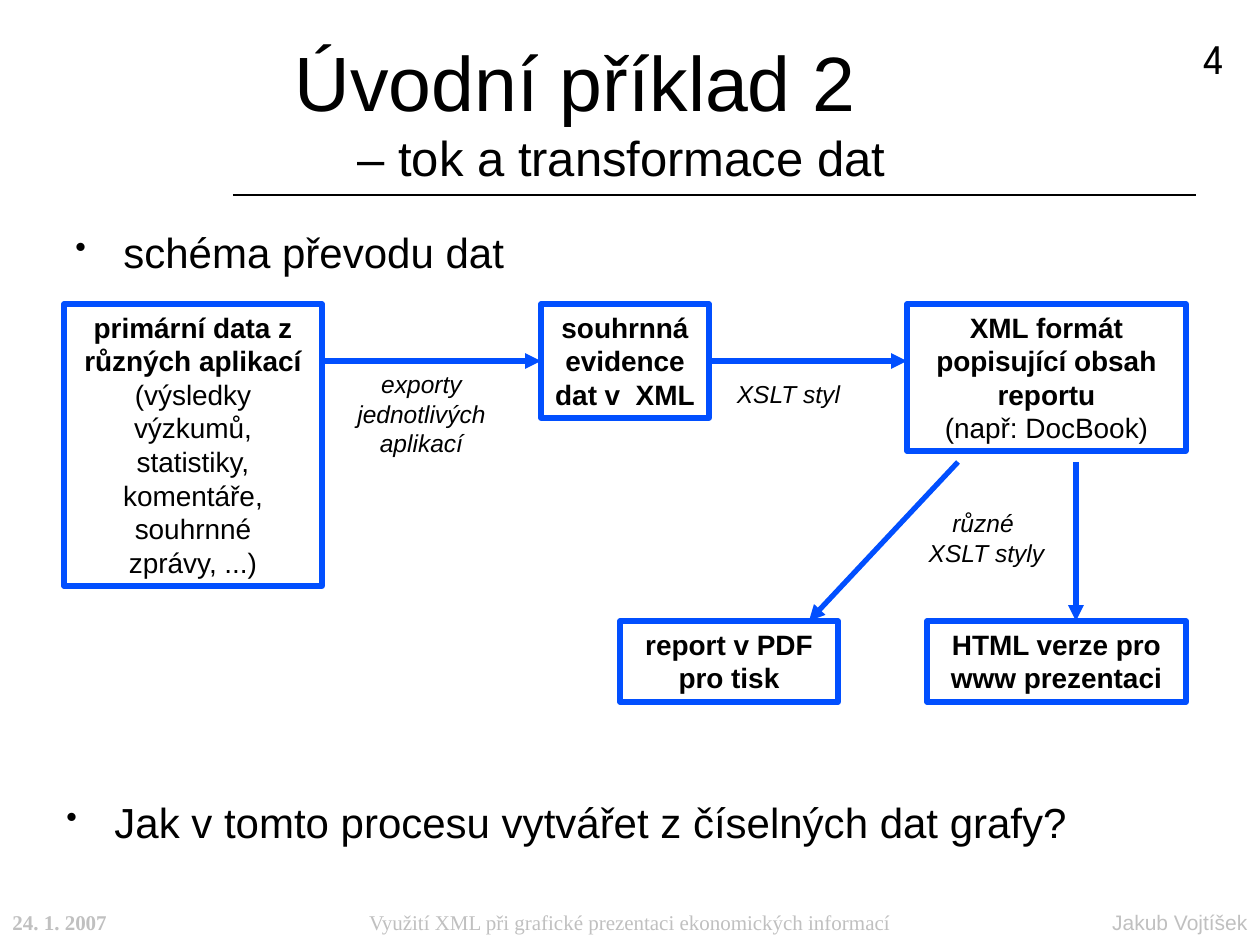
from dataclasses import dataclass

from lxml.etree import SubElement
from pptx import Presentation
from pptx.dml.color import RGBColor
from pptx.enum.shapes import MSO_CONNECTOR, MSO_SHAPE
from pptx.enum.text import MSO_ANCHOR, MSO_AUTO_SIZE, PP_ALIGN
from pptx.oxml.ns import qn
from pptx.util import Emu, Pt


@dataclass(frozen=True)
class Theme:
    ink: RGBColor = RGBColor(0x00, 0x00, 0x00)
    accent: RGBColor = RGBColor(0x01, 0x4F, 0xFF)
    muted: RGBColor = RGBColor(0xC0, 0xC0, 0xC0)
    sans: str = "Arial"
    serif: str = "Times New Roman"
    display: str = "League Spartan"
    title: int = 44
    subtitle: int = 28
    body: int = 24
    box: int = 16
    label: int = 14
    footer: int = 12
    rule: float = 1.19
    stroke: int = 3


theme = Theme()
PX = 914400 / 126


def px(*lengths):
    return [Emu(round(length * PX)) for length in lengths]


def write(frame, text, size=theme.box, font=theme.sans, color=theme.ink, bold=False,
          italic=False, align=PP_ALIGN.LEFT, bullet=False):
    frame.word_wrap = True
    paragraph = frame.paragraphs[0] if not frame.text else frame.add_paragraph()
    paragraph.text = text
    paragraph.alignment = align
    if bullet:
        properties = paragraph._p.get_or_add_pPr()
        indent = px(48)[0]
        properties.set("marL", str(indent))
        properties.set("indent", str(-indent))
        bullet_color = SubElement(properties, qn("a:buClr"))
        SubElement(bullet_color, qn("a:srgbClr"), val=str(color))
        SubElement(properties, qn("a:buSzPct"), val="75000")
        SubElement(properties, qn("a:buChar"), char="•")
    for run in paragraph.runs:
        run.font.size = Pt(size)
        run.font.name = font
        run.font.color.rgb = color
        run.font.bold = bold
        run.font.italic = italic
    return paragraph


prs = Presentation()
prs.slide_width, prs.slide_height = px(1260, 945)
slide = prs.slides.add_slide(prs.slide_layouts[5])
shapes = slide.shapes

heading = shapes.title
heading.left, heading.top, heading.width, heading.height = px(282, 26, 912, 169)
heading.text_frame.auto_size = MSO_AUTO_SIZE.NONE
heading.text_frame.vertical_anchor = MSO_ANCHOR.MIDDLE
heading_lines = write(heading.text_frame, "Úvodní příklad 2\v\t– tok a transformace dat",
                      size=theme.title)
heading_lines.runs[1].font.size = Pt(theme.subtitle)

stages = {}
for stage, place, strong, detail in [
    ("sources", (64, 304, 258, 282), "primární data z různých aplikací",
     "(výsledky výzkumů, statistiky, komentáře, souhrnné zprávy, ...)"),
    ("summary", (541, 304, 168, 114), "souhrnná evidence dat v  XML", None),
    ("content", (907, 304, 279, 147), "XML formát popisující obsah reportu",
     "(např: DocBook)"),
    ("print", (620, 621, 218, 81), "report v PDF pro tisk", None),
    ("web", (927, 621, 259, 81), "HTML verze pro www prezentaci", None),
]:
    box = shapes.add_shape(MSO_SHAPE.RECTANGLE, *px(*place))
    box.shadow.inherit = False
    box.fill.background()
    box.line.color.rgb = theme.accent
    box.line.width = Pt(theme.stroke)
    box.text_frame.vertical_anchor = MSO_ANCHOR.TOP
    box.text_frame.auto_size = MSO_AUTO_SIZE.SHAPE_TO_FIT_TEXT
    write(box.text_frame, strong, bold=True, align=PP_ALIGN.CENTER)
    if detail:
        write(box.text_frame, detail, align=PP_ALIGN.CENTER)
    stages[stage] = box

flows = []
for ends, color, weight, arrow in [
    ((233, 195, 1196, 195), theme.ink, theme.rule, False),
    ((322, 361, 541, 361), theme.accent, theme.stroke, True),
    ((709, 361, 907, 361), theme.accent, theme.stroke, True),
    ((958, 462, 809, 621), theme.accent, theme.stroke, True),
    ((1076, 462, 1076, 621), theme.accent, theme.stroke, True),
]:
    flow = shapes.add_connector(MSO_CONNECTOR.STRAIGHT, *px(*ends))
    flow.line.color.rgb = color
    flow.line.width = Pt(weight)
    if arrow:
        SubElement(flow.line._get_or_add_ln(), qn("a:tailEnd"), type="triangle")
    SubElement(flow._element.spPr, qn("a:effectLst"))
    flows.append(flow)
flows[1].end_connect(stages["summary"], 1)
flows[2].begin_connect(stages["summary"], 3)

bullet_style = dict(size=theme.body, bullet=True)
label_style = dict(size=theme.label, italic=True, align=PP_ALIGN.CENTER)
footer_style = dict(size=theme.footer, color=theme.muted)
for place, lines, style in [
    ((63, 220, 1134, 73), ["schéma převodu dat"], bullet_style),
    ((54, 790, 1134, 69), ["Jak v tomto procesu vytvářet z číselných dat grafy?"],
     bullet_style),
    ((342, 363, 159, 101), ["exporty jednotlivých aplikací"], label_style),
    ((709, 373, 159, 43), ["XSLT styl"], label_style),
    ((907, 502, 159, 72), ["různé ", "XSLT styly"], label_style),
    ((917, 26, 319, 58), ["4"],
     dict(size=theme.body, font=theme.display, align=PP_ALIGN.RIGHT)),
    ((0, 903, 223, 42), ["24. 1. 2007"],
     dict(footer_style, font=theme.serif, bold=True)),
    ((223, 903, 814, 42), ["Využití XML při grafické prezentaci ekonomických informací"],
     dict(footer_style, font=theme.serif, align=PP_ALIGN.CENTER)),
    ((1076, 903, 184, 42), ["Jakub Vojtíšek"],
     dict(footer_style, align=PP_ALIGN.RIGHT)),
]:
    note = shapes.add_textbox(*px(*place))
    for line in lines:
        write(note.text_frame, line, **style)

prs.save("out.pptx")
